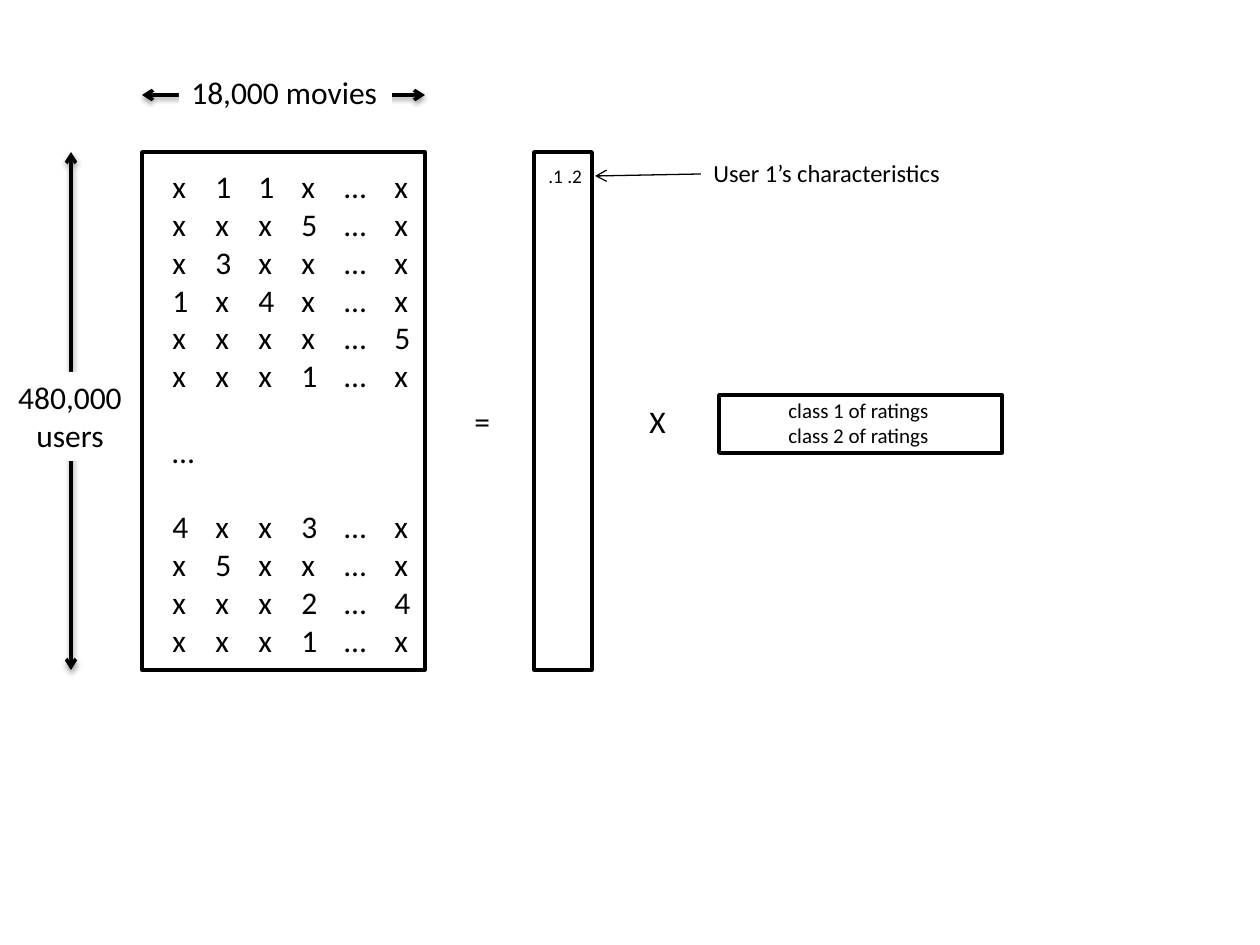
from dataclasses import dataclass

from lxml import etree
from pptx import Presentation
from pptx import util as u
from pptx.dml.color import RGBColor
from pptx.enum import shapes, text
from pptx.oxml import ns

PX = 7257  # EMU per px at 126 px to the inch


@dataclass(frozen=True)
class Theme:
    font: str = "Calibri"
    ink: RGBColor = RGBColor(0, 0, 0)
    paper: RGBColor = RGBColor(255, 255, 255)
    body: float = 18
    note: float = 14
    small: float = 12
    tiny: float = 11
    heavy: float = 2
    thin: float = 0.75


THEME = Theme()

# Blocks of rows, separated by one empty line's height
RATING_BLOCKS = [
    ["x 1 1 x … x", "x x x 5 … x", "x 3 x x … x",
     "1 x 4 x … x", "x x x x … 5", "x x x 1 … x"],
    ["…"],
    ["4 x x 3 … x", "x 5 x x … x", "x x x 2 … 4", "x x x 1 … x"],
]
RATING_TABS = [43, 86, 129, 172, 222]
BLOCK_GAP = 21.6

# left, top, width, height
RATINGS = (142, 152, 283, 518)
USER_FACTORS = (534, 152, 58, 518)
MOVIE_FACTORS = (719, 395, 283, 58)
RATINGS_TEXT = (160, 161, 266, 509)

# lines, place, type size, filled
LABELS = [
    (["480,000", "users"], (5, 372, 130, 89), THEME.body, True),
    (["18,000 movies"], (179, 67, 213, 50), THEME.body, True),
    (["="], (462, 396, 42, 50), THEME.body, False),
    (["X"], (637, 396, 42, 50), THEME.body, False),
    ([".1 .2"], (536, 158, 59, 37), THEME.tiny, False),
    (["class 1 of ratings", "class 2 of ratings"], (776, 391, 169, 63), THEME.small, False),
    (["User 1’s characteristics"], (701, 152, 256, 43), THEME.note, False),
]
CENTRED = {"480,000"}


def px(*values):
    return [u.Emu(value * PX) for value in values]


def add_matrix(parent, place):
    shape = parent.add_shape(shapes.MSO_SHAPE.RECTANGLE, *px(*place))
    shape.shadow.inherit = False
    shape.fill.solid()
    shape.fill.fore_color.rgb = THEME.paper
    shape.line.color.rgb = THEME.ink
    shape.line.width = u.Pt(THEME.heavy)


def add_arrow(parent, start, end, weight, both_ends=False):
    """Draw an arrow to end; a two-ended one also casts a soft shadow."""
    line = parent.add_connector(shapes.MSO_CONNECTOR.STRAIGHT, *px(*start, *end))
    line.line.color.rgb = THEME.ink
    line.line.width = u.Pt(weight)
    outline = line.line._get_or_add_ln()
    for tag in ["a:headEnd", "a:tailEnd"] if both_ends else ["a:tailEnd"]:
        etree.SubElement(outline, ns.qn(tag), type="arrow")
    effects = etree.SubElement(line._element.spPr, ns.qn("a:effectLst"))
    if both_ends:
        shadow = etree.SubElement(
            effects, ns.qn("a:outerShdw"), blurRad=str(u.Pt(3.1)),
            dist=str(u.Pt(1.6)), dir="5400000", rotWithShape="0")
        color = etree.SubElement(shadow, ns.qn("a:srgbClr"), val=str(THEME.ink))
        etree.SubElement(color, ns.qn("a:alpha"), val="38000")


def add_text(parent, lines, place, size, filled=False, wrap=False):
    box = parent.add_textbox(*px(*place))
    if filled:
        box.fill.solid()
        box.fill.fore_color.rgb = THEME.paper
    frame = box.text_frame
    frame.word_wrap = wrap
    frame.auto_size = text.MSO_AUTO_SIZE.SHAPE_TO_FIT_TEXT
    frame.text = "\n".join(lines)
    for paragraph in frame.paragraphs:
        if lines[0] in CENTRED:
            paragraph.alignment = text.PP_ALIGN.CENTER
        for run in paragraph.runs:
            run.font.name = THEME.font
            run.font.size = u.Pt(size)
            run.font.color.rgb = THEME.ink
    return frame


def add_ratings(parent):
    rows = [row.replace(" ", "\t") for block in RATING_BLOCKS for row in block]
    paragraphs = add_text(parent, rows, RATINGS_TEXT, THEME.body, wrap=True).paragraphs
    first = 0
    for block in RATING_BLOCKS:
        if first:
            paragraphs[first].space_before = u.Pt(BLOCK_GAP)
        first += len(block)
    for paragraph in paragraphs:
        tabs = etree.SubElement(paragraph._p.get_or_add_pPr(), ns.qn("a:tabLst"))
        for stop in RATING_TABS:
            etree.SubElement(tabs, ns.qn("a:tab"), pos=str(stop * PX), algn="l")


def main():
    presentation = Presentation()
    presentation.slide_width, presentation.slide_height = u.Inches(10), u.Inches(7.5)
    slide = presentation.slides.add_slide(presentation.slide_layouts[6])
    diagram = slide.shapes.add_group_shape().shapes

    for place in (RATINGS, USER_FACTORS, MOVIE_FACTORS):
        add_matrix(diagram, place)
    left, top, width, height = RATINGS
    add_arrow(diagram, (71, top + height), (71, top), THEME.heavy, both_ends=True)
    add_arrow(diagram, (left, 95), (left + width, 95), THEME.heavy, both_ends=True)
    add_ratings(diagram)
    for lines, place, size, filled in LABELS:
        add_text(diagram, lines, place, size, filled)
    add_arrow(diagram, (701, 174), (595, 176), THEME.thin)

    presentation.save("out.pptx")


if __name__ == "__main__":
    main()
